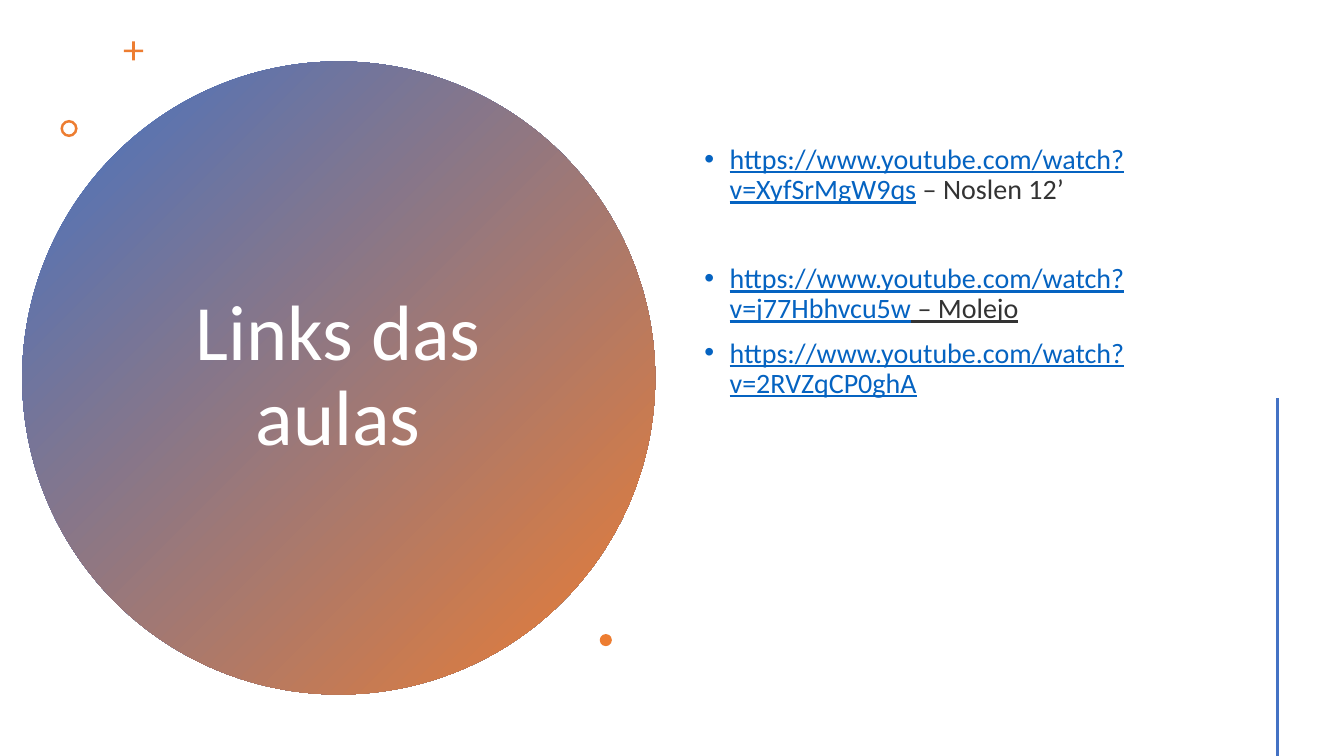
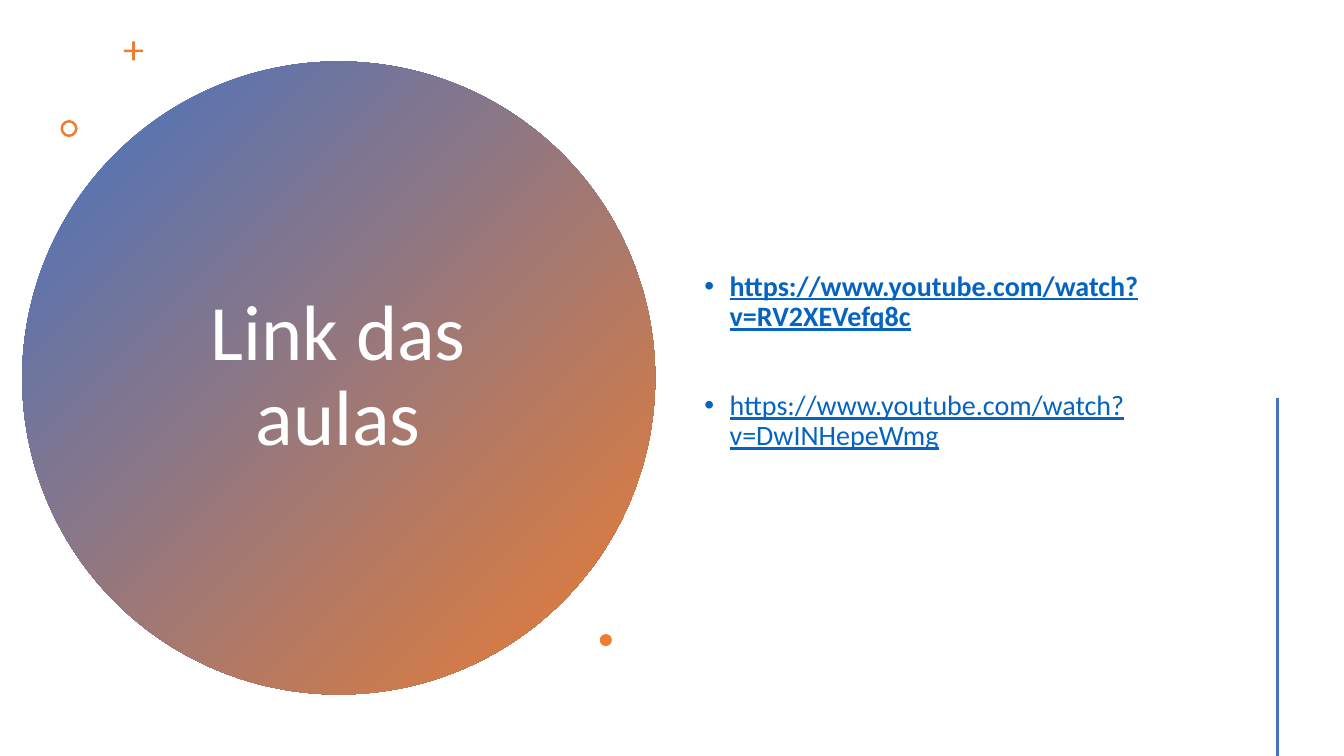
from dataclasses import dataclass

from lxml.etree import SubElement
from pptx import Presentation
from pptx.dml.color import RGBColor
from pptx.enum.shapes import MSO_CONNECTOR, MSO_SHAPE
from pptx.enum.text import MSO_ANCHOR, PP_ALIGN
from pptx.oxml.ns import qn
from pptx.util import Inches, Pt


@dataclass(frozen=True)
class Theme:
    blue: str = "4472C4"
    orange: str = "ED7D31"
    white: str = "FFFFFF"
    link: str = "0563C1"
    note: str = "333333"
    font: str = "Calibri"
    title_size: int = 56
    body_size: int = 20
    line_spacing: float = 0.9
    paragraph_gap: int = 10
    section_gap: int = 42
    rule_width: int = 2


def color(value):
    return RGBColor.from_string(value)


def apply_format(target, values):
    for name, value in values.items():
        setattr(target, name, value)


class Deck:
    columns = 40
    rows = 22.5

    def __init__(self, theme):
        self.theme = theme
        self.presentation = Presentation()
        apply_format(self.presentation, {"slide_width": Inches(13.33), "slide_height": Inches(7.5)})
        self.slide = None

    def across(self, count):
        return round(self.presentation.slide_width * count / self.columns)

    def down(self, count):
        return round(self.presentation.slide_height * count / self.rows)

    def place(self, left, top, width, height):
        return self.across(left), self.down(top), self.across(width), self.down(height)

    def add_slide(self):
        self.slide = self.presentation.slides.add_slide(self.presentation.slide_layouts[6])

    def add_mark(self, kind, left, top, size, adjustment=None):
        shape = self.slide.shapes.add_shape(kind, *self.place(left, top, size, size))
        shape.shadow.inherit = False
        shape.line.fill.background()
        shape.fill.solid()
        shape.fill.fore_color.rgb = color(self.theme.orange)
        if adjustment is not None:
            shape.adjustments[0] = adjustment
        return shape

    def add_gradient_circle(self, left, top, size):
        fill = self.add_mark(MSO_SHAPE.OVAL, left, top, size).fill
        fill.gradient()
        fill.gradient_angle = 315
        for position, (stop, value) in enumerate(
            zip(fill.gradient_stops, (self.theme.blue, self.theme.orange))
        ):
            stop.position = position
            stop.color.rgb = color(value)

    def add_text_box(self, left, top, width, height, anchor):
        shape = self.slide.shapes.add_textbox(*self.place(left, top, width, height))
        apply_format(shape.text_frame, {"word_wrap": True, "vertical_anchor": anchor})
        return shape.text_frame

    def add_run(self, paragraph, text, value, size, **extra):
        run = paragraph.add_run()
        run.text = text
        run.font.color.rgb = color(value)
        apply_format(run.font, {"name": self.theme.font, "size": Pt(size), **extra})

    def add_title(self, text):
        paragraph = self.add_text_box(4.08, 4.23, 11.97, 14.01, MSO_ANCHOR.MIDDLE).paragraphs[0]
        apply_format(
            paragraph, {"alignment": PP_ALIGN.CENTER, "line_spacing": self.theme.line_spacing}
        )
        self.add_run(paragraph, text, self.theme.white, self.theme.title_size)

    def add_bullet(self, paragraph):
        properties = paragraph._p.get_or_add_pPr()
        properties.set("marL", str(Inches(0.25)))
        properties.set("indent", str(-Inches(0.25)))
        SubElement(properties, qn("a:buFont")).set("typeface", "Arial")
        SubElement(properties, qn("a:buChar")).set("char", "•")

    def add_links(self, top, height, items):
        frame = self.add_text_box(20.67, top, 15.66, height, MSO_ANCHOR.TOP)
        for index, (gap, runs) in enumerate(items):
            paragraph = frame.add_paragraph() if index else frame.paragraphs[0]
            self.add_bullet(paragraph)
            apply_format(
                paragraph, {"line_spacing": self.theme.line_spacing, "space_before": Pt(gap)}
            )
            for text, value, style in runs:
                self.add_run(paragraph, text, value, self.theme.body_size, **style)

    def add_rule(self, column, top, bottom):
        connector = self.slide.shapes.add_connector(
            MSO_CONNECTOR.STRAIGHT,
            self.across(column), self.down(top), self.across(column), self.down(bottom),
        )
        connector.line.color.rgb = color(self.theme.blue)
        connector.line.width = Pt(self.theme.rule_width)
        SubElement(connector._element.spPr, qn("a:effectLst"))

    def add_link_slide(self, title, top, height, items):
        self.add_slide()
        self.add_gradient_circle(0.66, 1.83, 18.84)
        self.add_title(title)
        self.add_mark(MSO_SHAPE.CROSS, 3.69, 1.23, 0.57, 0.43)
        self.add_mark(MSO_SHAPE.DONUT, 1.8, 3.57, 0.51, 0.15)
        self.add_links(top, height, items)
        self.add_mark(MSO_SHAPE.OVAL, 17.85, 18.87, 0.36)
        self.add_rule(38.01, 11.85, self.rows)


def main():
    theme = Theme()
    deck = Deck(theme)
    address = "https://www.youtube.com/watch?v="
    underlined = {"underline": True}

    def link(code, **extra):
        return address + code, theme.link, {**underlined, **extra}

    deck.add_link_slide("Links das aulas", 4.17, 8.5, [
        (0, [link("XyfSrMgW9qs"), (" – Noslen 12’", theme.note, {})]),
        (theme.section_gap, [link("j77Hbhvcu5w"), (" – Molejo", theme.note, underlined)]),
        (theme.paragraph_gap, [link("2RVZqCP0ghA")]),
    ])
    deck.add_link_slide("Link das aulas", 7.95, 6, [
        (0, [link("RV2XEVefq8c", bold=True)]),
        (theme.section_gap, [link("DwINHepeWmg")]),
    ])
    deck.presentation.save("out.pptx")


if __name__ == "__main__":
    main()
